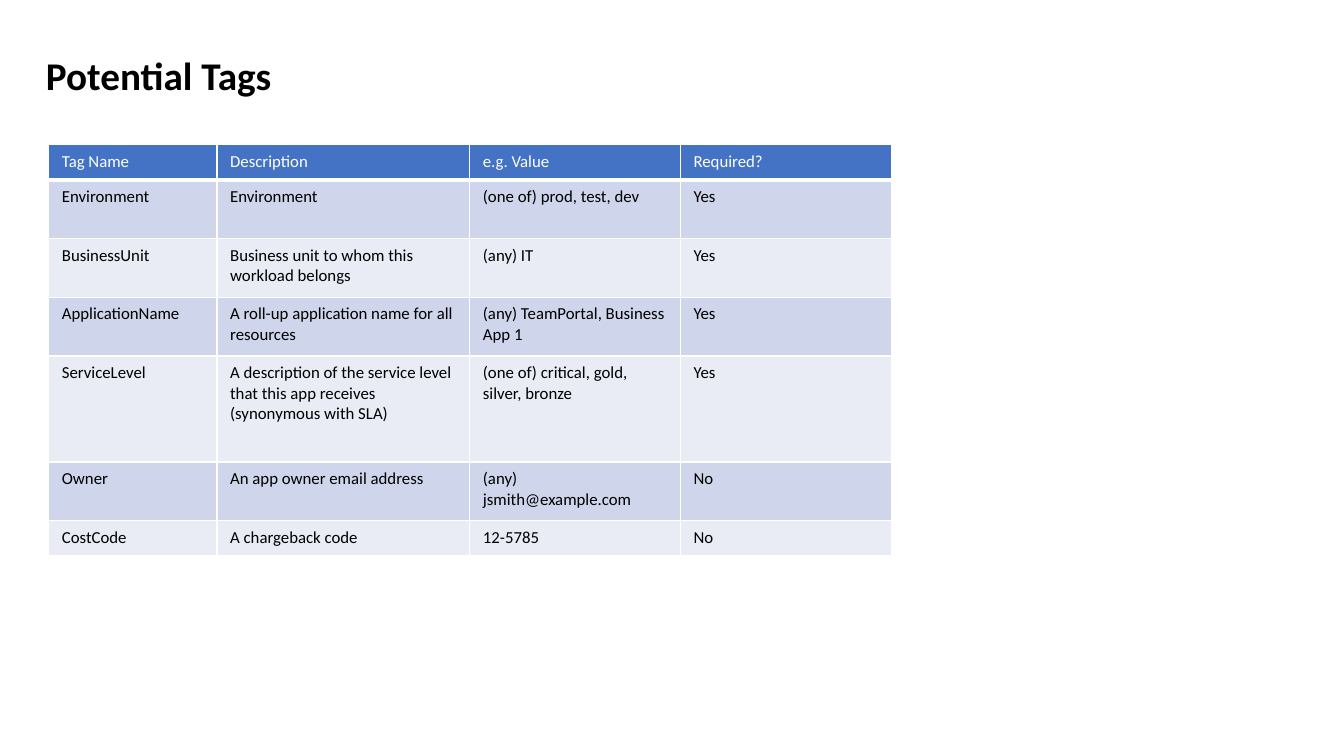
import pptx
import pptx.dml.color
import pptx.enum.text
import pptx.oxml
import pptx.oxml.ns
import pptx.util
from pptx.util import Cm

COLORS = {
    "text": "000000",
    "header": "4472C4",
    "header_text": "FFFFFF",
    "band_dark": "CFD5EA",
    "band_light": "E9EBF5",
    "border": "FFFFFF",
}

TAG_ROWS = [
    ("Tag Name", "Description", "e.g. Value", "Required?"),
    ("Environment", "Environment", "(one of) prod, test, dev", "Yes"),
    ("BusinessUnit", "Business unit to whom this workload belongs", "(any) IT", "Yes"),
    ("ApplicationName", "A roll-up application name for all resources",
     "(any) TeamPortal, Business App 1", "Yes"),
    ("ServiceLevel",
     "A description of the service level that this app receives (synonymous with SLA)",
     "(one of) critical, gold, silver, bronze", "Yes"),
    ("Owner", "An app owner email address", "(any) jsmith@example.com", "No"),
    ("CostCode", "A chargeback code", "12-5785", "No"),
]
COLUMN_WIDTHS = [4.24, 6.37, 5.31, 5.31]
ROW_HEIGHTS = [0.89, 1.48, 1.48, 1.48, 2.67, 1.48, 0.89]


def rgb(name):
    return pptx.dml.color.RGBColor.from_string(COLORS[name])


class SlideBuilder:
    def __init__(self, page, font="Calibri"):
        self.page = page
        self.font = font

    def style(self, para, size, color, bold=False):
        para.font.name = self.font
        para.font.size = pptx.util.Pt(size)
        para.font.bold = bold
        para.font.color.rgb = rgb(color)

    def title(self, text, left, top, width, height):
        box = self.page.shapes.add_textbox(Cm(left), Cm(top), Cm(width), Cm(height))
        frame = box.text_frame
        frame.word_wrap = True
        frame.auto_size = pptx.enum.text.MSO_AUTO_SIZE.SHAPE_TO_FIT_TEXT
        frame.text = text
        self.style(frame.paragraphs[0], 28, "text", bold=True)

    def borders(self, cell, is_header):
        properties = cell._tc.get_or_add_tcPr()
        for side in "LRTB":
            points = 3 if is_header and side == "B" else 1
            properties.append(pptx.oxml.parse_xml(
                f'<a:ln{side} {pptx.oxml.ns.nsdecls("a")} w="{pptx.util.Pt(points)}">'
                f'<a:solidFill><a:srgbClr val="{COLORS["border"]}"/></a:solidFill>'
                f'</a:ln{side}>'))

    def cell(self, cell, text, fill, color, is_header):
        self.borders(cell, is_header)
        cell.fill.solid()
        cell.fill.fore_color.rgb = rgb(fill)
        cell.margin_left = cell.margin_right = Cm(0.33)
        cell.margin_top = cell.margin_bottom = Cm(0.17)
        cell.text = text
        self.style(cell.text_frame.paragraphs[0], 12, color)

    def table(self, rows, left, top, widths, heights):
        table = self.page.shapes.add_table(
            len(rows), len(widths), Cm(left), Cm(top),
            Cm(sum(widths)), Cm(sum(heights))).table
        for column, width in zip(table.columns, widths):
            column.width = Cm(width)
        for index, (row, height, texts) in enumerate(zip(table.rows, heights, rows)):
            row.height = Cm(height)
            is_header = index == 0
            band = "band_dark" if index % 2 else "band_light"
            fill = "header" if is_header else band
            color = "header_text" if is_header else "text"
            for cell, text in zip(row.cells, texts):
                self.cell(cell, text, fill, color, is_header)


def main():
    deck = pptx.Presentation()
    deck.slide_width, deck.slide_height = Cm(33.87), Cm(19.05)
    builder = SlideBuilder(deck.slides.add_slide(deck.slide_layouts[6]))

    # Heading
    builder.title("Potential Tags", 0.91, 1.17, 22.38, 1.45)

    # Tag table
    builder.table(TAG_ROWS, 1.23, 3.64, COLUMN_WIDTHS, ROW_HEIGHTS)

    deck.save("out.pptx")


if __name__ == "__main__":
    main()
